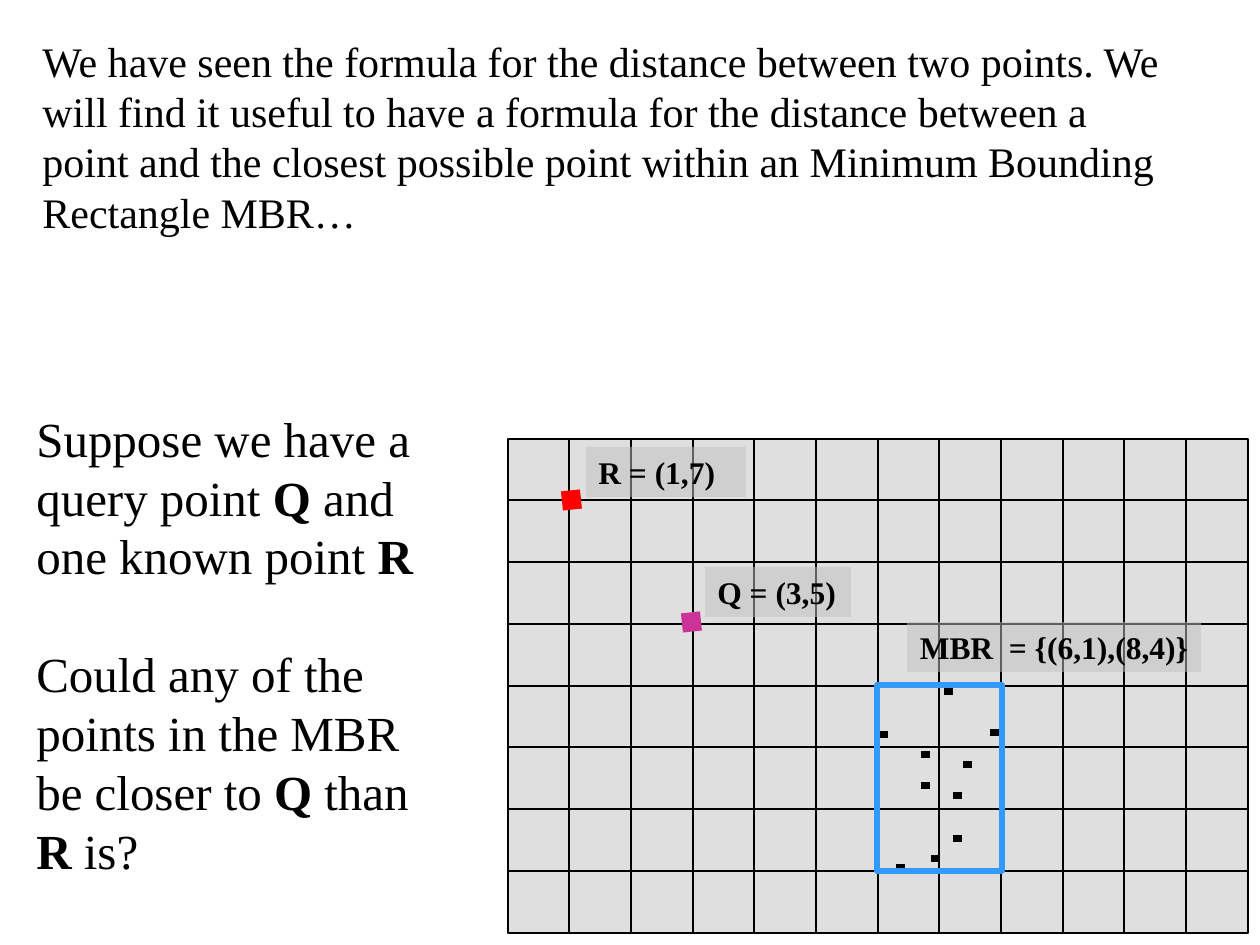
from dataclasses import dataclass
from itertools import product
from typing import Optional

from lxml.etree import SubElement
from pptx import Presentation
from pptx.dml.color import RGBColor
from pptx.enum.shapes import MSO_CONNECTOR, MSO_SHAPE
from pptx.enum.text import PP_ALIGN
from pptx.oxml.ns import qn
from pptx.util import Emu, Pt

PIXEL = 914400 // 126
FONT = "Times New Roman"
BLACK, SILVER, BLUE = "000000", "C0C0C0", "3399FF"
GRID_LEFT, GRID_TOP, GRID_WIDTH, GRID_HEIGHT = 508, 439, 740, 494
COLUMNS, ROWS = 12, 8


@dataclass
class Area:
    left: int
    top: int
    width: int
    height: int


@dataclass
class Label:
    text: str
    area: Area
    wrap: bool = True


@dataclass
class Mark:
    left: int
    top: int
    width: int = 9
    rise: int = 0
    color: str = BLACK
    weight: float = 4


POINTS = [(931, 859), (896, 868), (953, 796), (921, 786), (963, 765),
          (879, 735), (990, 733), (921, 755), (944, 692), (953, 839)]
MARKS = [Mark(left, top) for left, top in POINTS] + [
    Mark(682, 623, 19, 2, "CC3399", 11),
    Mark(562, 501, 19, 2, "FF0000", 11),
]
LABELS = [
    Label("MBR  = {(6,1),(8,4)}", Area(907, 622, 294, 50), wrap=False),
    Label("Q = (3,5)", Area(705, 567, 146, 50)),
    Label("R = (1,7)", Area(586, 447, 160, 50)),
]
INTRODUCTION = ("We have seen the formula for the distance between two points. We will find it "
                "useful to have a formula for the distance between a point and the closest "
                "possible point within an Minimum Bounding Rectangle MBR…")
QUESTIONS = [
    [("Suppose we have a query point ", False), ("Q", True),
     (" and one known point ", False), ("R", True)],
    [("Could any of the points in the MBR be closer to ", False), ("Q", True),
     (" than ", False), ("R", True), (" is?", False)],
]


def pixels(length: int) -> Emu:
    return Emu(length * PIXEL)


def paint(target, color: str) -> None:
    target.rgb = RGBColor.from_string(color)


def place(area: Area) -> list[Emu]:
    return [pixels(value) for value in (area.left, area.top, area.width, area.height)]


def add_span(para, text: str, *, size: float, bold: bool = False, color: str = BLACK) -> None:
    span = para.add_run()
    span.text = text
    span.font.name = FONT
    span.font.size = Pt(size)
    span.font.bold = bold
    paint(span.font.color, color)


def add_box(page, area: Area, *, fill: Optional[str] = None,
            line: Optional[str] = None, weight: float = 0.75):
    box = page.shapes.add_shape(MSO_SHAPE.RECTANGLE, *place(area))
    box.shadow.inherit = False
    if fill:
        box.fill.solid()
        paint(box.fill.fore_color, fill)
        tint = box.fill._xPr.find(qn("a:solidFill"))[0]
        SubElement(tint, qn("a:alpha"), val="50000")
    else:
        box.fill.background()
    if line:
        paint(box.line.color, line)
        box.line.width = Pt(weight)
    else:
        box.line.fill.background()
    return box


def add_text(page, area: Area, paragraphs, *, size: float, gap: float = 0) -> None:
    frame = page.shapes.add_textbox(*place(area)).text_frame
    frame.word_wrap = True
    for index, spans in enumerate(paragraphs):
        para = frame.add_paragraph() if index else frame.paragraphs[0]
        para.space_before = Pt(gap if index else 0)
        for text, bold in spans:
            add_span(para, text, size=size, bold=bold)


def add_label(page, label: Label) -> None:
    box = add_box(page, label.area, fill=SILVER)
    box.text_frame.word_wrap = label.wrap
    para = box.text_frame.paragraphs[0]
    para.alignment = PP_ALIGN.LEFT if label.wrap else PP_ALIGN.CENTER
    add_span(para, label.text, size=18, bold=True)


def add_mark(page, mark: Mark) -> None:
    ends = (mark.left, mark.top, mark.left + mark.width, mark.top - mark.rise)
    line = page.shapes.add_connector(MSO_CONNECTOR.STRAIGHT, *map(pixels, ends))
    paint(line.line.color, mark.color)
    line.line.width = Pt(mark.weight)
    SubElement(line._element.spPr, qn("a:effectLst"))


def add_cell(page, row: int, column: int) -> None:
    left, right = (GRID_LEFT + GRID_WIDTH * edge // COLUMNS for edge in (column, column + 1))
    top, bottom = (GRID_TOP + GRID_HEIGHT * edge // ROWS for edge in (row, row + 1))
    add_box(page, Area(left, top, right - left, bottom - top), fill=SILVER, line=BLACK)


deck = Presentation()
deck.slide_width, deck.slide_height = pixels(1260), pixels(945)
page = deck.slides.add_slide(deck.slide_layouts[6])
for row, column in product(range(ROWS), range(COLUMNS)):
    add_cell(page, row, column)
add_text(page, Area(30, 29, 1154, 214), [[(INTRODUCTION, False)]], size=24)
for mark in MARKS:
    add_mark(page, mark)
add_box(page, Area(877, 685, 125, 186), line=BLUE, weight=3)
for label in LABELS:
    add_label(page, label)
add_text(page, Area(24, 402, 431, 484), QUESTIONS, size=28, gap=33.6)
deck.save("out.pptx")
